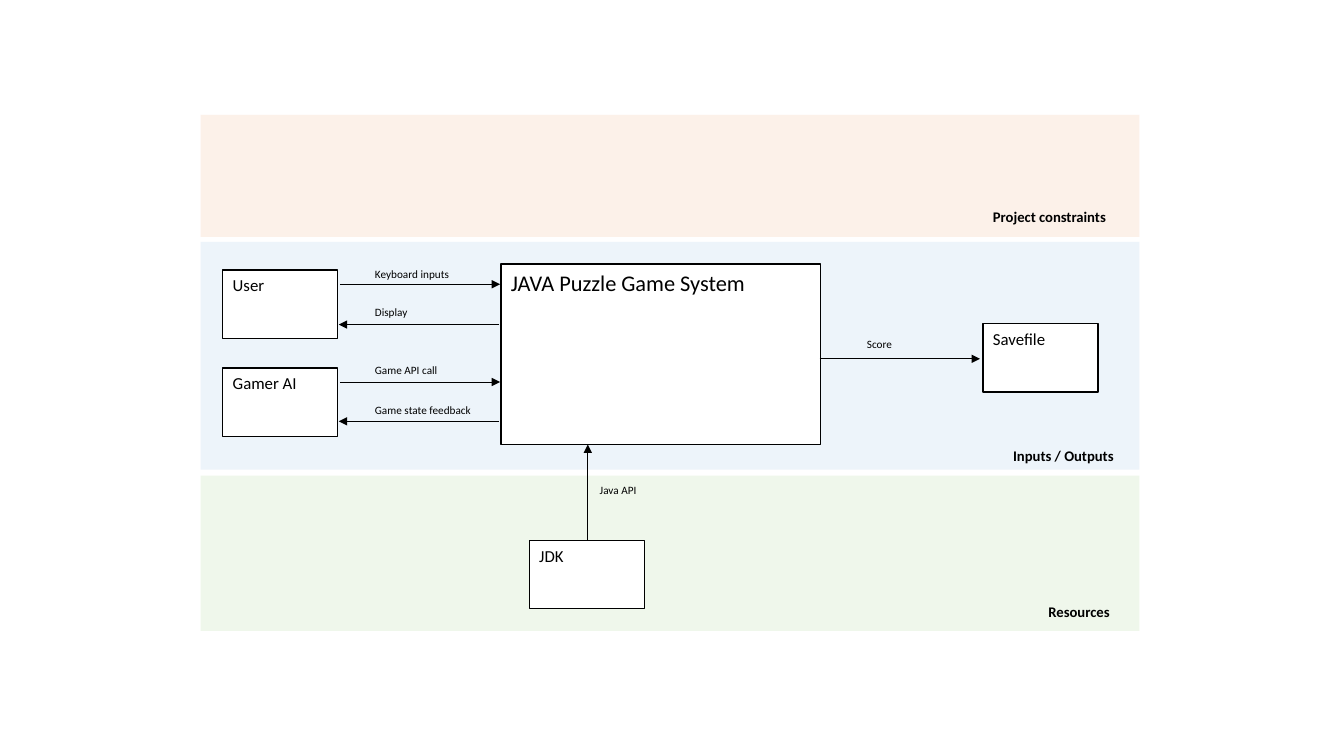
from lxml import etree
from pptx import Presentation
from pptx import util as u
from pptx.dml import color
from pptx.enum import shapes, text
from pptx.oxml import ns


def paint(fill, hex_color):
    fill.solid()
    fill.fore_color.rgb = color.RGBColor.from_string(hex_color)


def write(shape, words, size, bold=False):
    paragraph = shape.text_frame.paragraphs[0]
    paragraph.alignment = text.PP_ALIGN.LEFT
    run = paragraph.add_run()
    run.text = words
    run.font.name = "Calibri"
    run.font.size = u.Pt(size)
    run.font.bold = bold
    paint(run.font.fill, "000000")


presentation = Presentation()
presentation.slide_width = u.Inches(13.33)
presentation.slide_height = u.Inches(7.5)
slide = presentation.slides.add_slide(presentation.slide_layouts[6])

bands = [
    (1.14, 1.21, "FBE5D6"),
    (2.4, 2.26, "DEEBF7"),
    (4.72, 1.54, "E2F0D9"),
]
for top, height, hex_color in bands:
    band = slide.shapes.add_shape(
        shapes.MSO_SHAPE.RECTANGLE,
        u.Inches(1.99), u.Inches(top), u.Inches(9.31), u.Inches(height))
    band.shadow.inherit = False
    band.line.fill.background()
    paint(band.fill, hex_color)
    rgb = band.fill._xPr.find(ns.qn("a:solidFill"))[0]
    etree.SubElement(rgb, ns.qn("a:alpha"), val="52000")

boxes = [
    ("JAVA Puzzle Game System", 4.97, 2.62, 3.17, 1.79, 16),
    ("User", 2.21, 2.68, 1.14, 0.68, 12),
    ("Gamer AI", 2.21, 3.65, 1.14, 0.68, 12),
    ("Savefile", 9.75, 3.21, 1.14, 0.68, 12),
    ("JDK", 5.25, 5.36, 1.14, 0.68, 12),
]
for words, left, top, width, height, size in boxes:
    box = slide.shapes.add_shape(
        shapes.MSO_SHAPE.RECTANGLE,
        u.Inches(left), u.Inches(top), u.Inches(width), u.Inches(height))
    box.shadow.inherit = False
    paint(box.fill, "FFFFFF")
    paint(box.line.fill, "000000")
    box.line.width = u.Pt(1)
    box.text_frame.vertical_anchor = text.MSO_ANCHOR.TOP
    write(box, words, size)

arrows = [
    (3.37, 2.82, 4.96, 2.82),
    (4.95, 3.22, 3.36, 3.22),
    (3.37, 3.79, 4.96, 3.79),
    (4.95, 4.18, 3.36, 4.18),
    (8.13, 3.56, 9.72, 3.56),
    (5.83, 5.36, 5.83, 4.41),
]
for ends in arrows:
    arrow = slide.shapes.add_connector(
        shapes.MSO_CONNECTOR.STRAIGHT, *[u.Inches(end) for end in ends])
    paint(arrow.line.fill, "000000")
    arrow.line.width = u.Pt(0.5)
    etree.SubElement(arrow.line._get_or_add_ln(), ns.qn("a:tailEnd"), type="triangle")
    etree.SubElement(arrow._element.spPr, ns.qn("a:effectLst"))

flow_labels = [
    ("Keyboard inputs", 3.62, 2.6, 1.02),
    ("Display", 3.62, 2.98, 0.57),
    ("Game API call", 3.62, 3.56, 0.9),
    ("Game state feedback", 3.62, 3.95, 1.25),
    ("Score", 8.5, 3.3, 0.49),
    ("Java API", 5.85, 4.75, 0.64),
]
band_labels = [
    ("Project constraints", 9.75, 2.01, 1.46),
    ("Inputs / Outputs", 9.95, 4.38, 1.26),
    ("Resources", 10.3, 5.93, 0.91),
]
for labels, height, size, bold in [(flow_labels, 0.24, 8, False),
                                   (band_labels, 0.28, 10.5, True)]:
    for words, left, top, width in labels:
        label = slide.shapes.add_textbox(
            u.Inches(left), u.Inches(top), u.Inches(width), u.Inches(height))
        label.text_frame.word_wrap = False
        label.text_frame.auto_size = text.MSO_AUTO_SIZE.SHAPE_TO_FIT_TEXT
        write(label, words, size, bold)

presentation.save("out.pptx")
